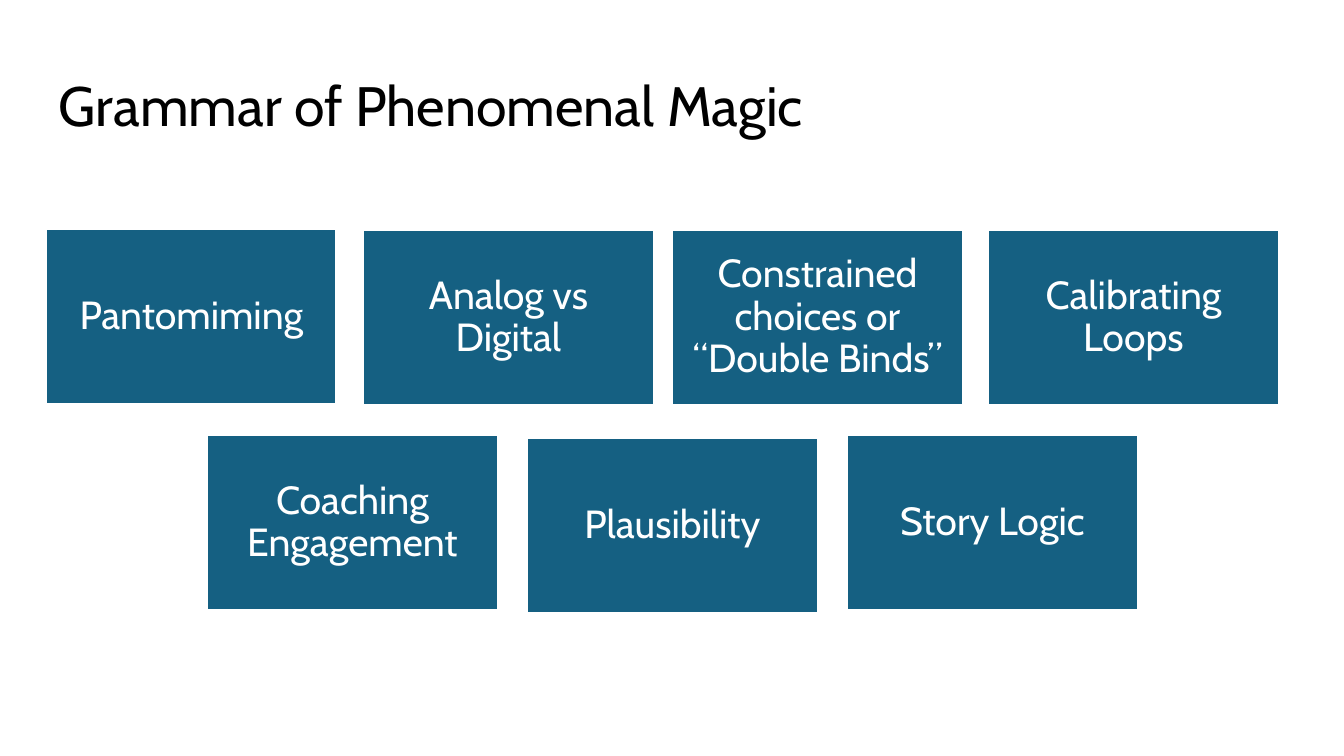
"""Build the Grammar of Phenomenal Magic slide with its seven topic cards."""
from typing import NamedTuple

from pptx import Presentation
from pptx import util as u
from pptx.dml.color import RGBColor
from pptx.enum import shapes, text

COLORS = {"title": "000000", "card": "156082", "light": "FFFFFF"}
FONT = "Cabin"
EMU_PER_INCH = 914400
PX_PER_INCH = 134.4
CARD_WIDTH, CARD_HEIGHT = 291, 175


class Card(NamedTuple):
    label: str
    left: int
    top: int


CARDS = [
    Card("Pantomiming", 46, 229),
    Card("Analog vs Digital", 363, 230),
    Card("Constrained choices or “Double Binds”", 672, 230),
    Card("Calibrating Loops", 988, 230),
    Card("Coaching Engagement", 207, 435),
    Card("Plausibility", 527, 438),
    Card("Story Logic", 847, 435),
]


def px(length: int) -> u.Emu:
    """Turn a length in px into EMU."""
    return u.Emu(round(length * EMU_PER_INCH / PX_PER_INCH))


def color(name: str) -> RGBColor:
    """Look up a named colour."""
    return RGBColor.from_string(COLORS[name])


def apply(target: object, values: dict) -> None:
    """Set each named attribute on the target."""
    for name, value in values.items():
        setattr(target, name, value)


def write(box, label: str, size: float, color_name: str, inset: int,
          frame_format: dict, para_format: dict) -> None:
    """Fill a shape with one formatted paragraph."""
    frame = box.text_frame
    frame.text = label
    sides = ("left", "top", "right", "bottom")
    apply(frame, {f"margin_{side}": px(inset) for side in sides})
    apply(frame, {"word_wrap": True, "auto_size": text.MSO_AUTO_SIZE.NONE,
                  **frame_format})
    para = frame.paragraphs[0]
    apply(para, {"line_spacing": 0.9, **para_format})
    span = para.runs[0]
    apply(span.font, {"name": FONT, "size": u.Pt(size)})
    span.font.color.rgb = color(color_name)


def add_title(page) -> None:
    """Place and format the title placeholder."""
    box = page.shapes.title
    apply(box, {"left": px(46), "top": px(66),
                "width": px(1252), "height": px(85)})
    write(box, "Grammar of Phenomenal Magic", 29.7, "title", 13,
          {"vertical_anchor": text.MSO_ANCHOR.TOP},
          {"alignment": text.PP_ALIGN.LEFT})


def add_card(page, card: Card) -> None:
    """Draw one topic card."""
    box = page.shapes.add_shape(
        shapes.MSO_SHAPE.RECTANGLE, px(card.left), px(card.top),
        px(CARD_WIDTH), px(CARD_HEIGHT))
    box.shadow.inherit = False
    box.fill.solid()
    box.fill.fore_color.rgb = color("card")
    box.line.color.rgb = color("light")
    box.line.width = u.Pt(1.5)
    write(box, card.label, 21, "light", 12,
          {"vertical_anchor": text.MSO_ANCHOR.MIDDLE},
          {"alignment": text.PP_ALIGN.CENTER, "space_after": u.Pt(7.35)})


def main() -> None:
    """Build and save the deck."""
    deck = Presentation()
    apply(deck, {"slide_width": px(1344), "slide_height": px(756)})
    page = deck.slides.add_slide(deck.slide_layouts.get_by_name("Title Only"))
    add_title(page)
    for card in CARDS:
        add_card(page, card)
    deck.save("out.pptx")


if __name__ == "__main__":
    main()
